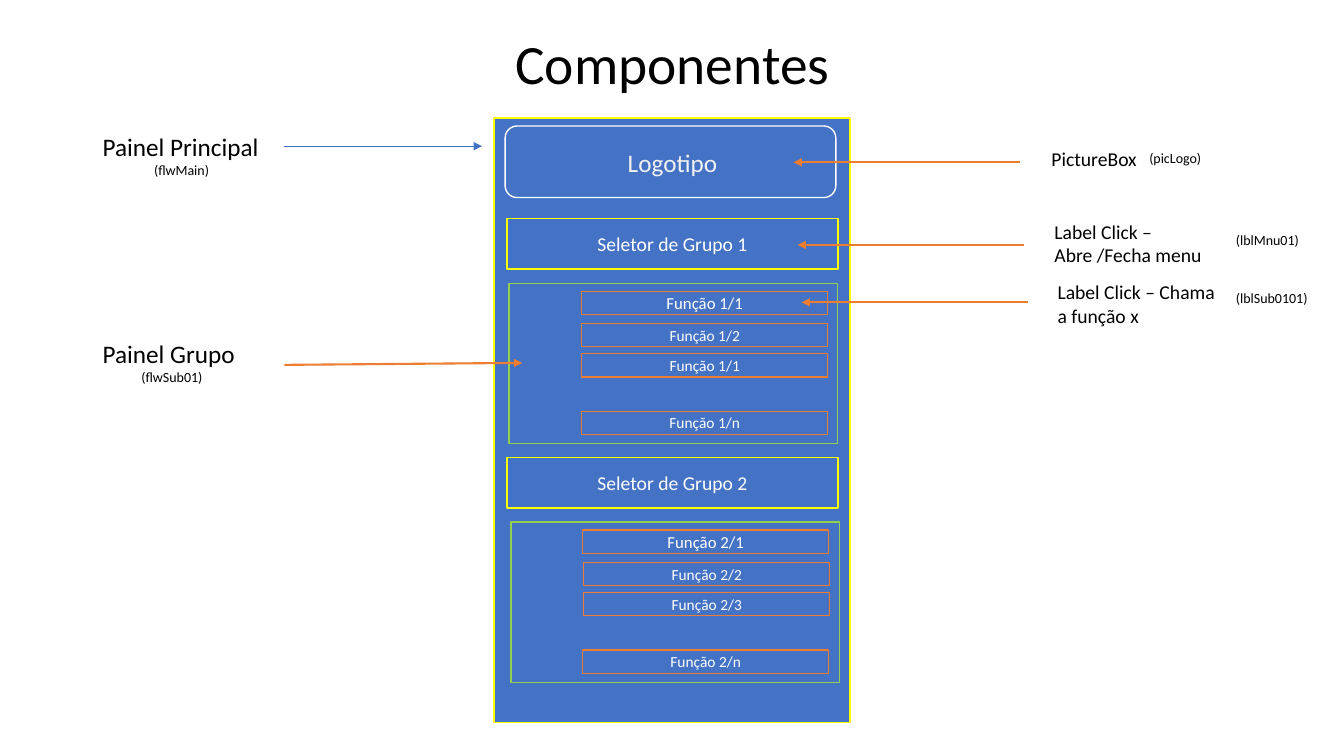
from lxml import etree
from pptx import Presentation
from pptx.dml.color import RGBColor
from pptx.enum.shapes import MSO_CONNECTOR, MSO_SHAPE
from pptx.enum.text import MSO_ANCHOR, PP_ALIGN
from pptx.oxml.ns import qn
from pptx.util import Inches, Pt

RECTANGLE = MSO_SHAPE.RECTANGLE
ROUNDED = MSO_SHAPE.ROUNDED_RECTANGLE
STRAIGHT = MSO_CONNECTOR.STRAIGHT
LEFT, CENTER = PP_ALIGN.LEFT, PP_ALIGN.CENTER
TOP, MIDDLE = MSO_ANCHOR.TOP, MSO_ANCHOR.MIDDLE

FONT = "Calibri"
COLORS = {
    "blue": "4472C4",
    "yellow": "FFFF00",
    "green": "92D050",
    "orange": "ED7D31",
    "white": "FFFFFF",
    "pale": "F2F2F2",
    "black": "000000",
}
FUNCTION_ROWS = [(0, 0.08, 12), (0.01, 0.4, 11), (0.01, 0.7, 11), (0, 1.27, 11)]


def color(name):
    return RGBColor.from_string(COLORS[name])


def write(frame, text, size, ink, align, anchor):
    frame.vertical_anchor = anchor
    para = frame.paragraphs[0]
    para.alignment = align
    span = para.add_run()
    span.text = text
    span.font.name = FONT
    span.font.size = Pt(size)
    span.font.color.rgb = color(ink)
    return para


def add_label(page, area, text, size, align=LEFT, ink="black", anchor=TOP, wrap=True):
    box = page.shapes.add_textbox(*map(Inches, area))
    box.text_frame.word_wrap = wrap
    return write(box.text_frame, text, size, ink, align, anchor)


def add_panel(page, area, outline, text=None, size=14, preset=RECTANGLE):
    panel = page.shapes.add_shape(preset, *map(Inches, area))
    panel.shadow.inherit = False
    panel.fill.solid()
    panel.fill.fore_color.rgb = color("blue")
    panel.line.color.rgb = color(outline)
    panel.line.width = Pt(1)
    if text:
        write(panel.text_frame, text, size, "white", CENTER, MIDDLE)


def add_arrow(page, start, end, ink="orange", width=1.5):
    arrow = page.shapes.add_connector(STRAIGHT, *map(Inches, start + end))
    arrow.line.color.rgb = color(ink)
    arrow.line.width = Pt(width)
    line = arrow.line._get_or_add_ln()
    etree.SubElement(line, qn("a:tailEnd"), type="triangle")
    etree.SubElement(arrow._element.spPr, qn("a:effectLst"))


def add_group(page, number, top, panel_left, row_left, row_names):
    add_panel(page, (5.03, top, 3.28, 0.5), "yellow", f"Seletor de Grupo {number}")
    panel_top = top + 0.64
    add_panel(page, (panel_left, panel_top, 3.26, 1.59), "green")
    for name, (shift, drop, size) in zip(row_names, FUNCTION_ROWS):
        left = row_left + shift if number == 2 or name == "1/n" else row_left
        area = (left, panel_top + drop, 2.44, 0.23)
        add_panel(page, area, "orange", f"Função {name}", size)


def add_panel_note(page, top, width, title, control):
    add_label(page, (0.92, top, width, 0.4), title, 18, wrap=False)
    area = (1.04, top + 0.3, width - 0.25, 0.27)
    add_label(page, area, control, 10, CENTER)


def add_control_note(page, text_area, text, control_at, control, arrow_y, arrow_tip):
    add_label(page, text_area, text, 14)
    add_label(page, control_at + (0.99, 0.27), control, 10)
    add_arrow(page, (arrow_tip + 2.25, arrow_y), (arrow_tip, arrow_y))


def main():
    deck = Presentation()
    deck.slide_width, deck.slide_height = Inches(13.33), Inches(7.5)
    page = deck.slides.add_slide(deck.slide_layouts[6])

    title = add_label(page, (0.92, 0.4, 11.5, 0.53), "Componentes", 39.6, CENTER, anchor=MIDDLE)
    title.line_spacing = 0.9

    add_panel(page, (4.9, 1.17, 3.53, 6), "yellow")
    add_panel(page, (5.01, 1.25, 3.28, 0.71), "white", preset=ROUNDED)
    add_label(page, (5.77, 1.41, 1.8, 0.4), "Logotipo", 18, CENTER, "pale")
    add_group(page, 1, 2.17, 5.05, 5.77, ["1/1", "1/2", "1/1", "1/n"])
    add_group(page, 2, 4.54, 5.07, 5.78, ["2/1", "2/2", "2/3", "2/n"])

    add_panel_note(page, 1.25, 1.77, "Painel Principal", "(flwMain)")
    add_arrow(page, (2.82, 1.45), (4.78, 1.45), "blue", 0.5)
    add_panel_note(page, 3.31, 1.58, "Painel Grupo", "(flwSub01)")
    add_arrow(page, (2.82, 3.62), (5.18, 3.6))

    add_control_note(page, (10.33, 1.41, 1.26, 0.34), "PictureBox",
                     (11.3, 1.43), "(picLogo)", 1.61, 7.87)
    add_control_note(page, (10.36, 2.13, 1.79, 0.57), "Label Click – Abre /Fecha menu",
                     (12.16, 2.25), "(lblMnu01)", 2.43, 7.91)
    add_control_note(page, (10.39, 2.73, 1.79, 0.57), "Label Click – Chama a função x",
                     (12.16, 2.82), "(lblSub0101)", 3, 7.95)

    deck.save("out.pptx")


main()
